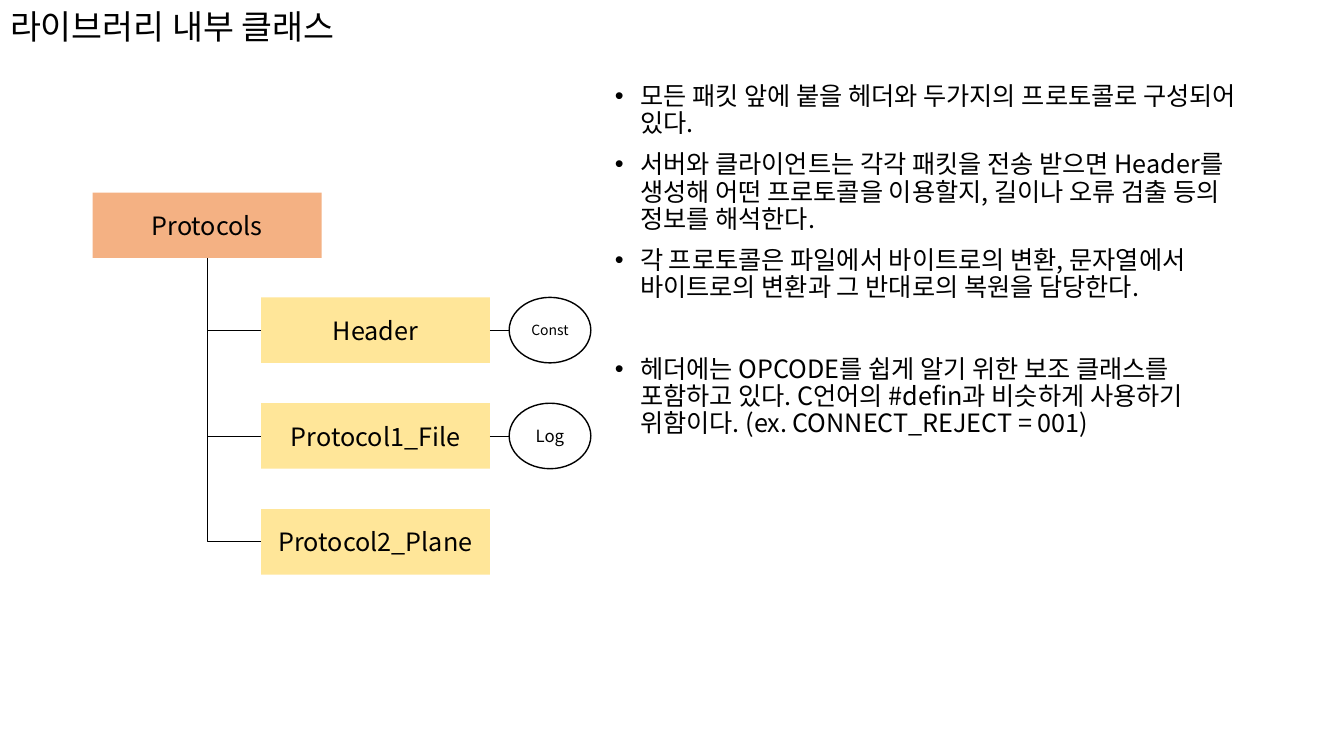
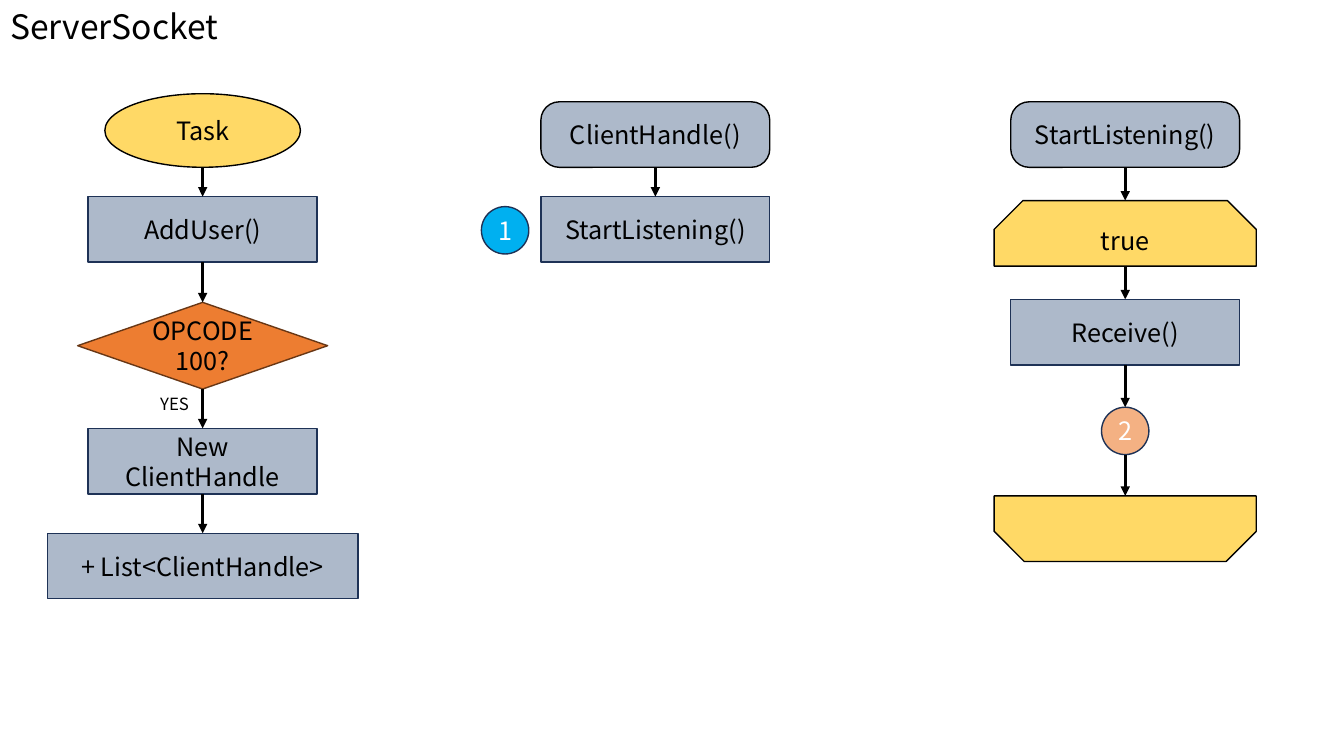
import pptx
import pptx.dml.color
import pptx.enum.shapes
import pptx.enum.text
import pptx.oxml.ns
import pptx.oxml.xmlchemy
import pptx.util

Inches = pptx.util.Inches
Pt = pptx.util.Pt
SHAPE = pptx.enum.shapes.MSO_SHAPE
CONNECTOR = pptx.enum.shapes.MSO_CONNECTOR
ALIGN = pptx.enum.text.PP_ALIGN
qn = pptx.oxml.ns.qn
new_element = pptx.oxml.xmlchemy.OxmlElement

FONT = "Noto Sans CJK KR"
COLORS = {
    "black": "000000", "white": "FFFFFF", "peach": "F4B183",
    "cream": "FFE699", "gold": "FFD966", "steel": "ADB9CA",
    "navy": "1E3256", "orange": "ED7D31", "brown": "683715", "sky": "00B0F0",
}
BOX_WIDTH, BOX_HEIGHT = 2.27, 0.65
DOT = 0.47


def add_node(page, kind, text, left, top, width, height, fill, line,
             size=18, ink="black", adjust=()):
    node = page.shapes.add_shape(
        kind, Inches(left), Inches(top), Inches(width), Inches(height))
    node.shadow.inherit = False
    for index, value in enumerate(adjust):
        node.adjustments[index] = value
    if fill:
        node.fill.solid()
        node.fill.fore_color.rgb = pptx.dml.color.RGBColor.from_string(COLORS[fill])
    else:
        node.fill.background()
    if line:
        node.line.color.rgb = pptx.dml.color.RGBColor.from_string(COLORS[line])
        node.line.width = Pt(1)
    else:
        node.line.fill.background()
    if text:
        node.text_frame.text = text
        para = node.text_frame.paragraphs[0]
        para.alignment = ALIGN.CENTER
        font = para.runs[0].font
        font.size = Pt(size)
        font.color.rgb = pptx.dml.color.RGBColor.from_string(COLORS[ink])


def add_link(page, start, end, width, bent=False, arrow=False):
    kind = CONNECTOR.ELBOW if bent else CONNECTOR.STRAIGHT
    link = page.shapes.add_connector(
        kind, *[Inches(value) for value in (*start, *end)])
    link.line.color.rgb = pptx.dml.color.RGBColor.from_string(COLORS["black"])
    link.line.width = Pt(width)
    properties = link._element.spPr
    if bent:
        properties.find(qn("a:prstGeom")).set("prst", "bentConnector2")
    if arrow:
        head = new_element("a:tailEnd")
        head.set("type", "triangle")
        properties.find(qn("a:ln")).append(head)
    properties.append(new_element("a:effectLst"))


deck = pptx.Presentation()
deck.slide_width = Inches(13.33)
deck.slide_height = Inches(7.5)

# Pages and titles
pages = []
for heading, width in (("라이브러리 내부 클래스", 3.86), ("ServerSocket", 3.15)):
    page = deck.slides.add_slide(deck.slide_layouts[5])
    title = page.shapes.title
    title.left, title.top = Inches(0), Inches(0)
    title.width, title.height = Inches(width), Inches(0.57)
    title.text_frame.text = heading
    title.text_frame.auto_size = pptx.enum.text.MSO_AUTO_SIZE.NONE
    para = title.text_frame.paragraphs[0]
    para.alignment = ALIGN.LEFT
    para.line_spacing = 0.9
    para.runs[0].font.size = Pt(24)
    pages.append(page)
class_page, socket_page = pages

# Class tree
root_left, root_top = 0.92, 1.91
child_left, child_top, child_step = 2.59, 2.95, 1.05
helper_left, helper_width = 5.05, 0.81
root_foot = (root_left + BOX_WIDTH / 2, root_top + BOX_HEIGHT)
add_node(class_page, SHAPE.RECTANGLE, "Protocols", root_left, root_top,
         BOX_WIDTH, BOX_HEIGHT, "peach", None)
children = [("Header", "Const", 10), ("Protocol1_File", "Log", 12),
            ("Protocol2_Plane", None, None)]
for row, (name, helper, size) in enumerate(children):
    top = child_top + row * child_step
    middle = top + BOX_HEIGHT / 2
    child_right = child_left + BOX_WIDTH
    add_link(class_page, (child_left, middle), root_foot, 0.5, bent=True)
    add_node(class_page, SHAPE.RECTANGLE, name, child_left, top,
             BOX_WIDTH, BOX_HEIGHT, "cream", None)
    if helper:
        add_link(class_page, (child_right, middle), (helper_left, middle), 0.5)
        add_node(class_page, SHAPE.OVAL, helper, helper_left, top,
                 helper_width, BOX_HEIGHT, None, "black", size)

# Bulleted explanation: text and space before in points
notes = [
    ("모든 패킷 앞에 붙을 헤더와 두가지의 프로토콜로 구성되어 있다.", 10),
    ("서버와 클라이언트는 각각 패킷을 전송 받으면 Header를 생성해 어떤 프로토콜을 "
     "이용할지, 길이나 오류 검출 등의 정보를 해석한다.", 10),
    ("각 프로토콜은 파일에서 바이트로의 변환, 문자열에서 바이트로의 변환과 "
     "그 반대로의 복원을 담당한다.", 10),
    ("헤더에는 OPCODE를 쉽게 알기 위한 보조 클래스를 포함하고 있다. C언어의 #defin과 "
     "비슷하게 사용하기 위함이다. (ex. CONNECT_REJECT = 001)", 39),
]
box = class_page.shapes.add_textbox(
    Inches(6), Inches(0.78), Inches(6.42), Inches(5.97))
box.text_frame.word_wrap = True
box.text_frame.text = "\n".join(text for text, gap in notes)
for para, (text, gap) in zip(box.text_frame.paragraphs, notes):
    para.line_spacing = 0.9
    para.space_before = Pt(gap)
    para.runs[0].font.size = Pt(18)
    settings = para._p.get_or_add_pPr()
    settings.set("marL", str(Inches(0.25)))
    settings.set("indent", str(Inches(-0.25)))
    bullet_font = new_element("a:buFont")
    bullet_font.set("typeface", "Arial")
    bullet = new_element("a:buChar")
    bullet.set("char", "•")
    settings.extend([bullet_font, bullet])

# Flow charts: looks of each step kind, then columns of (kind, text, top)
steps = {
    "task": (SHAPE.OVAL, 1.94, 0.73, "gold", "black", "black", ()),
    "call": (SHAPE.RECTANGLE, BOX_WIDTH, BOX_HEIGHT, "steel", "navy", "black", ()),
    "wide call": (SHAPE.RECTANGLE, 3.08, BOX_HEIGHT, "steel", "navy", "black", ()),
    "test": (SHAPE.DIAMOND, 2.48, 0.86, "orange", "brown", "black", ()),
    "entry": (SHAPE.ROUNDED_RECTANGLE, BOX_WIDTH, BOX_HEIGHT,
              "steel", "black", "black", (0.28,)),
    "loop start": (SHAPE.SNIP_2_SAME_RECTANGLE, 2.6, BOX_HEIGHT,
                   "gold", "black", "black", (0.44, 0)),
    "loop end": (SHAPE.SNIP_2_SAME_RECTANGLE, 2.6, BOX_HEIGHT,
                 "gold", "black", "black", (0, 0.46)),
    "blue dot": (SHAPE.OVAL, DOT, DOT, "sky", "navy", "white", ()),
    "peach dot": (SHAPE.OVAL, DOT, DOT, "peach", "navy", "white", ()),
}
columns = [
    (2.01, [("task", "Task", 0.93), ("call", "AddUser()", 1.95),
            ("test", "OPCODE 100?", 3), ("call", "New ClientHandle", 4.25),
            ("wide call", "+ List<ClientHandle>", 5.29)]),
    (6.5, [("entry", "ClientHandle()", 1.01), ("call", "StartListening()", 1.95)]),
    (5.01, [("blue dot", "1", 2.05)]),
    (11.16, [("entry", "StartListening()", 1.01), ("loop start", "true", 1.99),
             ("call", "Receive()", 2.97), ("peach dot", "2", 4.04),
             ("loop end", "", 4.92)]),
]
for center, column in columns:
    foot = None
    for step, text, top in column:
        kind, width, height, fill, line, ink, adjust = steps[step]
        add_node(socket_page, kind, text, center - width / 2, top, width, height,
                 fill, line, ink=ink, adjust=adjust)
        if foot:
            add_link(socket_page, (center, foot), (center, top), 2.25, arrow=True)
        foot = top + height

# Branch label
label = socket_page.shapes.add_textbox(
    Inches(1.49), Inches(3.86), Inches(0.52), Inches(0.3))
label.text_frame.word_wrap = True
label.text_frame.text = "YES"
label.text_frame.paragraphs[0].runs[0].font.size = Pt(12)

# One typeface for Latin and Korean text
for page in pages:
    for shape in page.shapes:
        if shape.has_text_frame:
            for para in shape.text_frame.paragraphs:
                for span in para.runs:
                    span.font.name = FONT
                    korean = new_element("a:ea")
                    korean.set("typeface", FONT)
                    span.font._element.find(qn("a:latin")).addnext(korean)

deck.save("out.pptx")
